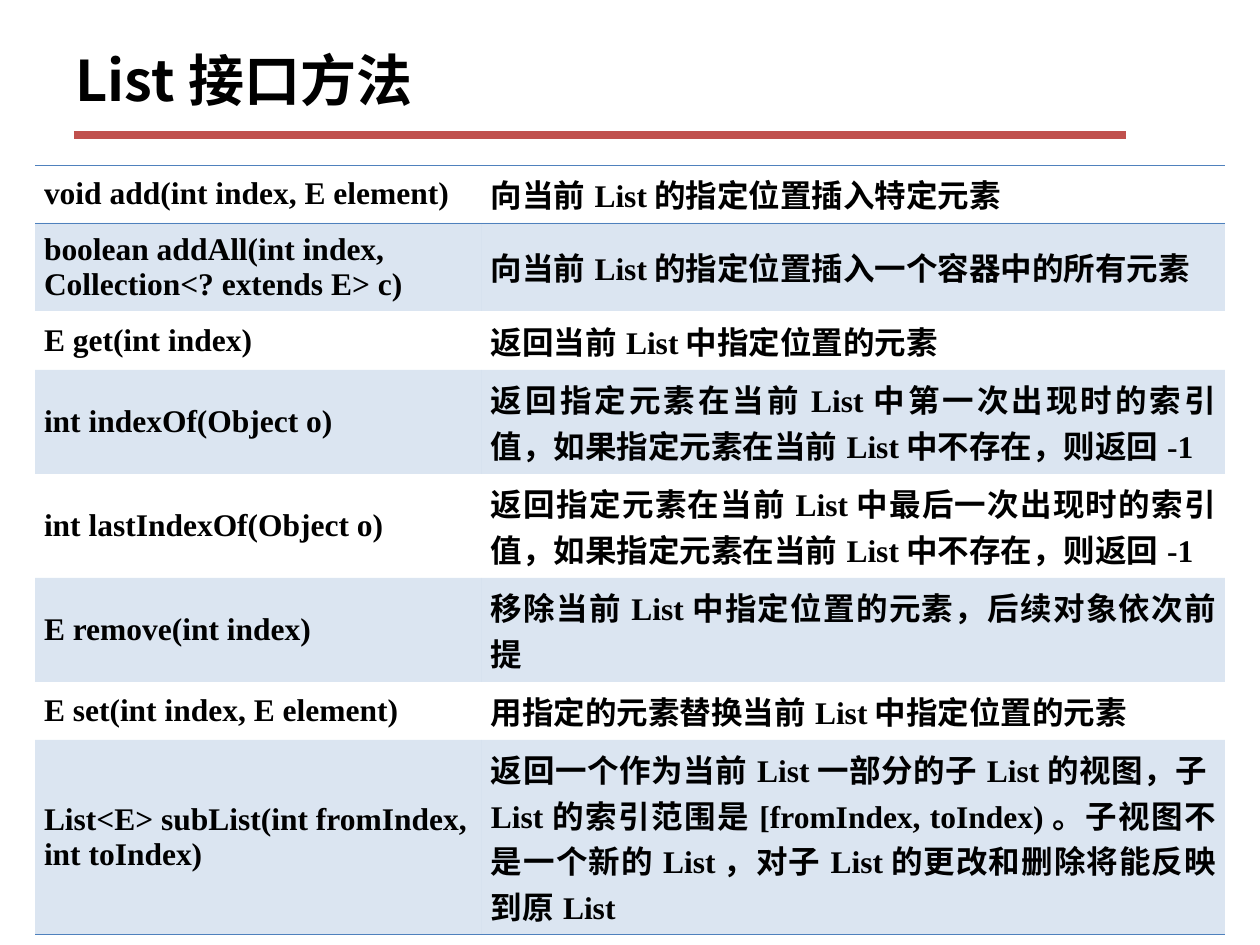
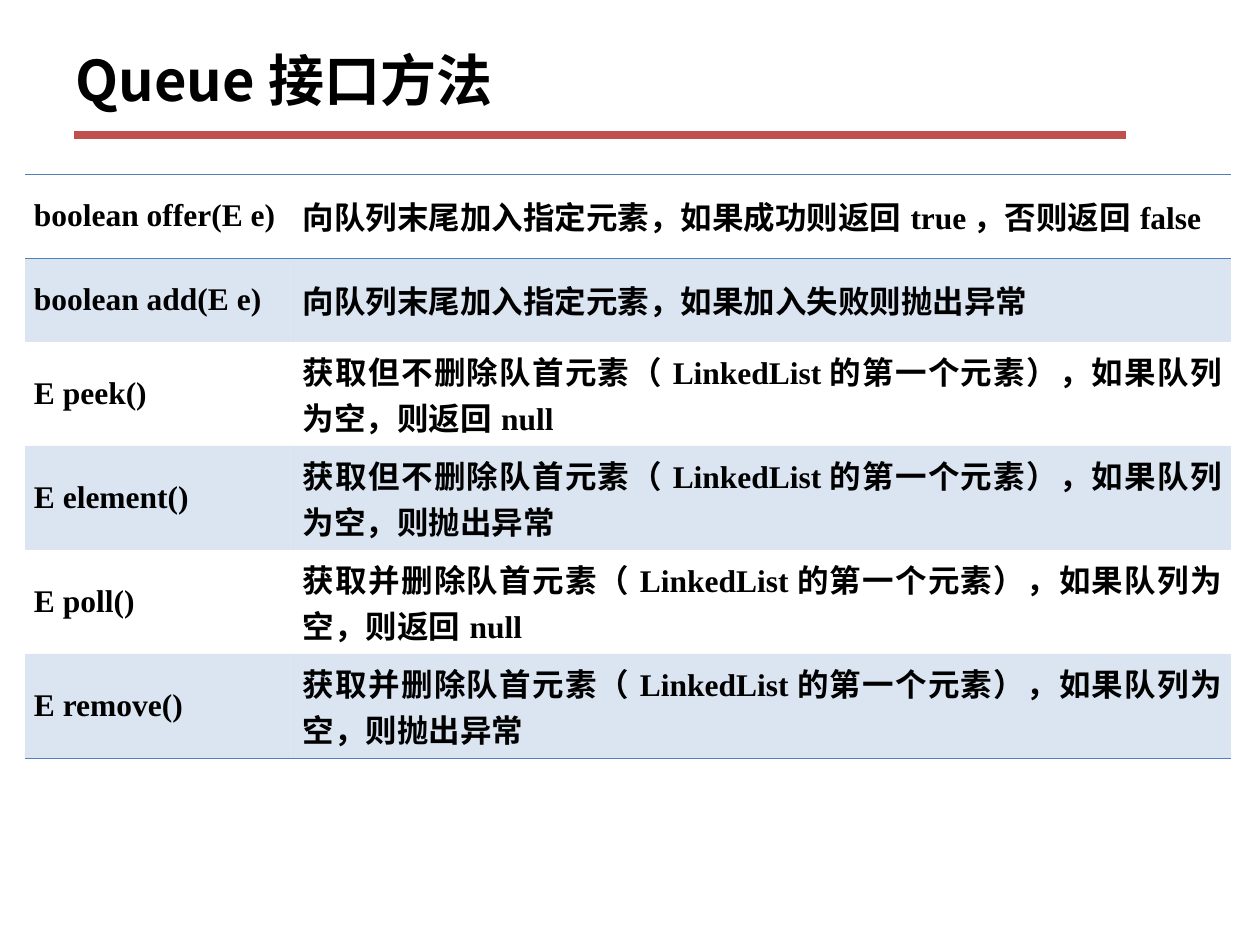
from dataclasses import dataclass

from lxml.etree import SubElement
from pptx import Presentation
from pptx.dml.color import RGBColor
from pptx.enum.shapes import MSO_CONNECTOR
from pptx.enum.text import MSO_ANCHOR, PP_ALIGN
from pptx.oxml import parse_xml
from pptx.oxml.ns import nsdecls, qn
from pptx.util import Pt

PX = 914400 / 126


@dataclass(frozen=True)
class Theme:
    """Colours, fonts and type sizes shared by the slides."""
    ink: str = "000000"
    rule: str = "C0504D"
    accent: str = "4F81BD"
    band_alpha: int = 20
    title_font: str = "Noto Sans CJK SC"
    body_font: str = "Times New Roman"
    tail_font: str = "DejaVu Sans"
    east_asian_font: str = "Noto Sans CJK SC"
    title_size: int = 32
    body_size: int = 18
    rule_width: float = 4.5
    border_width: float = 0.45
    plain_table: str = "{2D5ABB26-0587-4C30-8999-92F81FD0307C}"


THEME = Theme()

LIST_METHODS = [
    (58, "void add(int index, E element)", ["向当前List的指定位置插入特定元素"]),
    (88, "boolean addAll(int index, Collection<? extends E> c)",
     ["向当前List的指定位置插入一个容器中的所有元素"]),
    (59, "E get(int index)", ["返回当前List中指定位置的元素"]),
    (104, "int indexOf(Object o)",
     ["返回指定元素在当前List中第一次出现时的索引值，如果指定元素在当前List中不存在，则返回-1"]),
    (104, "int lastIndexOf(Object o)",
     ["返回指定元素在当前List中最后一次出现时的索引值，如果指定元素在当前List中不存在，则返回-1"]),
    (104, "E remove(int index)", ["移除当前List中指定位置的元素，", "后续对象依次前提"]),
    (58, "E set(int index, E element)", ["用指定的元素替换当前List中指定位置的元素"]),
    (195, "List<E> subList(int fromIndex, int toIndex)",
     ["返回一个作为当前List一部分的子List的视图，子List的索引范围是[fromIndex, toIndex)。"
      "子视图不是一个新的List，对子List的更改和删除将能反映到原List"]),
]

PEEK = "获取但不删除队首元素（LinkedList的第一个元素），如果队列为空，则"
POLL = "获取并删除队首元素（LinkedList的第一个元素），如果队列为空，则"
QUEUE_METHODS = [
    (84, "boolean offer(E e)", ["向队列末尾加入指定元素，如果成功则返回true，否则返回false"]),
    (84, "boolean add(E e)", ["向队列末尾加入指定元素，如果加入失败则抛出异常"]),
    (104, "E peek()", [PEEK + "返回null"]),
    (104, "E element()", [PEEK + "抛出异常"]),
    (104, "E poll()", [POLL + "返回null"]),
    (104, "E remove()", [POLL + "抛出异常"]),
]


def px(length):
    """Turn a length in px into EMU."""
    return round(length * PX)


def write(frame, text, *, font=THEME.body_font, size=THEME.body_size,
          align=PP_ALIGN.LEFT, space_before=0):
    """Add a bold run to the first paragraph of a text frame."""
    paragraph = frame.paragraphs[0]
    paragraph.alignment = align
    paragraph.space_before = Pt(space_before)
    paragraph._p.get_or_add_pPr().set("hangingPunct", "0")
    run = paragraph.add_run()
    run.text = text
    run.font.name = font
    run.font.size = Pt(size)
    run.font.bold = True
    run.font.color.rgb = RGBColor.from_string(THEME.ink)
    SubElement(run.font._element, qn("a:ea"), typeface=THEME.east_asian_font)


def add_heading(slide, title, left, top, width, height):
    """Place the title and the red rule at the foot of its box."""
    heading = slide.shapes.add_textbox(px(left), px(top), px(width), px(height))
    frame = heading.text_frame
    frame.word_wrap = True
    frame.vertical_anchor = MSO_ANCHOR.MIDDLE
    write(frame, title, font=THEME.title_font, size=THEME.title_size)

    rule_y = px(top + height + 1)
    rule = slide.shapes.add_connector(MSO_CONNECTOR.STRAIGHT, px(left + 11), rule_y,
                                      px(left + width - 71), rule_y)
    rule.line.color.rgb = RGBColor.from_string(THEME.rule)
    rule.line.width = Pt(THEME.rule_width)
    SubElement(rule._element.spPr, qn("a:effectLst"))


def style_cell(cell, *, banded, edges):
    """Give a cell its translucent band and its top and bottom borders."""
    if banded:
        cell.fill.solid()
        cell.fill.fore_color.rgb = RGBColor.from_string(THEME.accent)
        tint = cell._tc.tcPr.find(".//" + qn("a:srgbClr"))
        SubElement(tint, qn("a:alpha"), val=str(THEME.band_alpha * 1000))
    else:
        cell.fill.background()
    drawn = f'<a:solidFill><a:srgbClr val="{THEME.accent}"/></a:solidFill>'
    for position, edge in enumerate("TB"):
        paint = drawn if edge in edges else "<a:noFill/>"
        cell._tc.tcPr.insert(position, parse_xml(
            f'<a:ln{edge} {nsdecls("a")} w="{Pt(THEME.border_width)}">{paint}</a:ln{edge}>'))


def add_methods(slide, methods, left, top, columns, *, inset, space_before):
    """Place a table of method signatures and their meanings."""
    heights = [height for height, _, _ in methods]
    table = slide.shapes.add_table(len(methods), len(columns), px(left), px(top),
                                   px(sum(columns)), px(sum(heights))).table
    table.first_row = table.horz_banding = False
    table._tbl.tblPr.find(qn("a:tableStyleId")).text = THEME.plain_table
    for column, width in zip(table.columns, columns):
        column.width = px(width)

    borders = {0: "TB", 1: "T", len(methods) - 1: "B"}
    for index, (height, signature, meaning) in enumerate(methods):
        table.rows[index].height = px(height)
        contents = ([signature], PP_ALIGN.LEFT), (meaning, PP_ALIGN.JUSTIFY)
        for cell, (parts, align) in zip(table.rows[index].cells, contents):
            cell.vertical_anchor = MSO_ANCHOR.MIDDLE
            cell.margin_left = cell.margin_right = px(inset)
            cell.margin_top = cell.margin_bottom = px(6)
            for part, font in zip(parts, (THEME.body_font, THEME.tail_font)):
                write(cell.text_frame, part, font=font, align=align,
                      space_before=space_before)
            style_cell(cell, banded=index % 2 == 1, edges=borders.get(index, ""))


def add_method_slide(deck, title, methods, left, top, columns, **table_format):
    """Add a slide with a heading above a table of methods."""
    slide = deck.slides.add_slide(deck.slide_layouts[6])
    add_heading(slide, title, 63, 25, 1134, 109)
    add_methods(slide, methods, left, top, columns, **table_format)


def main():
    """Build and save the deck."""
    deck = Presentation()
    deck.slide_width, deck.slide_height = px(1260), px(945)
    add_method_slide(deck, "List接口方法", LIST_METHODS, 35, 165, (447, 743),
                     inset=9, space_before=6)
    add_method_slide(deck, "Queue接口方法", QUEUE_METHODS, 25, 174, (269, 937),
                     inset=9, space_before=0)
    deck.save("out.pptx")


if __name__ == "__main__":
    main()
